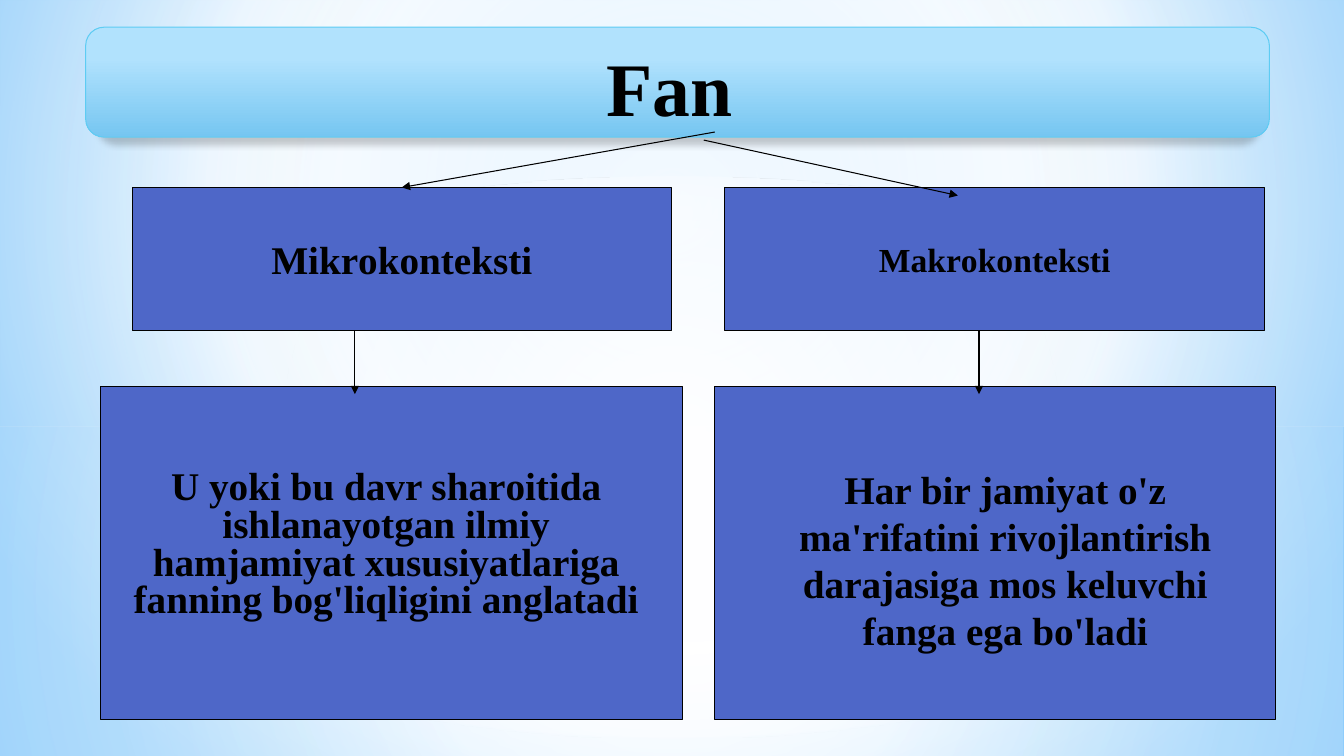
"""Build a slide that splits the notion of science into its micro and macro contexts."""
from lxml import etree
from pptx import Presentation
from pptx.dml.color import RGBColor
from pptx.enum.shapes import MSO_CONNECTOR, MSO_SHAPE
from pptx.enum.text import MSO_ANCHOR, PP_ALIGN
from pptx.oxml.ns import qn
from pptx.util import Inches, Pt

RECTANGLE, ROUNDED, OVAL = MSO_SHAPE.RECTANGLE, MSO_SHAPE.ROUNDED_RECTANGLE, MSO_SHAPE.OVAL
STRAIGHT = MSO_CONNECTOR.STRAIGHT
TOP, MIDDLE = MSO_ANCHOR.TOP, MSO_ANCHOR.MIDDLE
CENTER = PP_ALIGN.CENTER

BLACK = RGBColor(0x00, 0x00, 0x00)
WHITE = RGBColor(0xFF, 0xFF, 0xFF)
INDIGO = RGBColor(0x4E, 0x67, 0xC8)
CYAN = RGBColor(0x5E, 0xCC, 0xF3)
PALE_BLUE = RGBColor(0xB4, 0xDC, 0xFA)
SKY = RGBColor(0x9E, 0xD5, 0xFF)
DEEP_SKY = RGBColor(0x5B, 0xB9, 0xFF)
BANNER_LIGHT = RGBColor(0xB1, 0xE2, 0xFD)
BANNER_DARK = RGBColor(0x76, 0xC6, 0xF1)

FONT = "Times New Roman"
LINE_WIDTH = Pt(0.75)
SLIDE_SIZE = (13.33, 7.5)
CENTRE = (50, 50, 50, 50)

BACKGROUND_STOPS = [(0, SKY, 100), (60, WHITE, 100), (100, DEEP_SKY, 100)]
BACKGROUND_FOCUS = (20, 10, 20, 60)
BACKDROP = [
    (RECTANGLE, (0, 4.23, 13.33, 3.27), CENTRE,
     [(0, WHITE, 91), (37, WHITE, 76), (100, PALE_BLUE, 79)]),
    (RECTANGLE, (0, 0, 13.33, 4.23), CENTRE,
     [(0, WHITE, 89), (48, WHITE, 62), (100, PALE_BLUE, 79)]),
    (RECTANGLE, (0, 2.9, 13.33, 2.5), None,
     [(0, WHITE, 0), (29, WHITE, 30), (45, PALE_BLUE, 40),
      (55, WHITE, 26), (65, PALE_BLUE, 60), (100, WHITE, 0)]),
    (OVAL, (0, 1.75, 13.33, 5.58), CENTRE, [(0, WHITE, 100), (54, WHITE, 0)]),
]

BANNER_AREA = (0.85, 0.27, 11.74, 1.09)
BANNER_STOPS = [(28, BANNER_LIGHT, 100), (100, BANNER_DARK, 100)]
TITLE, TITLE_AREA = "Fаn", (5.91, 0.36, 1.46, 1.01)

HEADING_TOP, HEADING_SIZE = 1.86, (5.35, 1.42)
PANEL_TOP, PANEL_HEIGHT = 3.83, 3.31
ARROW_OVERLAP = 0.08
CONTEXTS = [
    {"heading": "Mikrоkоntеksti", "heading_left": 1.31, "heading_size": 28,
     "panel_left": 1, "panel_width": 5.77,
     "text": "U yoki bu dаvr shаrоitidа ishlаnаyotgаn ilmiy hаmjаmiyat "
             "хususiyatlаrigа fаnning bоg'liqligini аnglаtаdi",
     "text_area": (1.1, 3.99, 5.46, 3.51),
     "text_format": {"anchor": TOP, "line_spacing": 0.8, "margin_top": 0.68},
     "branch": ((7.09, 1.31), (3.98, 1.86)), "joined": True, "arrow_x": 3.52},
    {"heading": "Makrоkоntеksti", "heading_left": 7.19, "heading_size": 24,
     "panel_left": 7.09, "panel_width": 5.56,
     "text": "Hаr bir jаmiyat o'z mа'rifаtini rivоjlаntirish dаrаjаsigа "
             "mоs kеluvchi fаngа egа bo'lаdi",
     "text_area": (7.61, 3.91, 4.72, 3.28),
     "text_format": {"anchor": MIDDLE},
     "branch": ((6.98, 1.39), (9.5, 1.94)), "joined": False, "arrow_x": 9.71},
]


def add_child(parent, tag, **attributes):
    """Append a drawing element with the given attributes."""
    child = etree.SubElement(parent, qn(tag))
    for name, value in attributes.items():
        child.set(name, str(value))
    return child


def apply_gradient(properties, stops, focus=None):
    """Swap the solid fill for a radial gradient, or a vertical one without focus."""
    solid = properties.find(qn("a:solidFill"))
    gradient = etree.Element(qn("a:gradFill"), rotWithShape="1")
    stop_list = add_child(gradient, "a:gsLst")
    for position, color, opacity in stops:
        stop = add_child(stop_list, "a:gs", pos=position * 1000)
        tone = add_child(stop, "a:srgbClr", val=color)
        if opacity < 100:
            add_child(tone, "a:alpha", val=opacity * 1000)
    if focus:
        radial = add_child(gradient, "a:path", path="circle")
        sides = {side: share * 1000 for side, share in zip("ltrb", focus)}
        add_child(radial, "a:fillToRect", **sides)
    else:
        add_child(gradient, "a:lin", ang=5400000, scaled=0)
    properties.replace(solid, gradient)


def add_box(slide, kind, area, fill, line=None):
    """Add a flat preset shape."""
    shape = slide.shapes.add_shape(kind, *map(Inches, area))
    shape.shadow.inherit = False
    shape.fill.solid()
    shape.fill.fore_color.rgb = fill
    if line is None:
        shape.line.fill.background()
    else:
        shape.line.color.rgb = line
        shape.line.width = LINE_WIDTH
    return shape


def write_text(shape, text, size=28, anchor=MIDDLE, wrap=True, line_spacing=None, margin_top=0.05):
    """Write one bold centred paragraph in a shape."""
    frame = shape.text_frame
    frame.word_wrap = wrap
    frame.vertical_anchor = anchor
    frame.margin_top = Inches(margin_top)
    paragraph = frame.paragraphs[0]
    paragraph.alignment = CENTER
    if line_spacing:
        paragraph.line_spacing = line_spacing
    run = paragraph.add_run()
    run.text = text
    run.font.name = FONT
    run.font.size = Pt(size)
    run.font.bold = True
    run.font.color.rgb = BLACK


def add_arrow(slide, start, end):
    """Add a thin black arrow between two points."""
    arrow = slide.shapes.add_connector(STRAIGHT, *map(Inches, start + end))
    arrow.line.color.rgb = BLACK
    arrow.line.width = LINE_WIDTH
    properties = arrow.element.spPr
    add_child(properties.find(qn("a:ln")), "a:tailEnd", type="triangle")
    add_child(properties, "a:effectLst")
    return arrow


def add_banner(slide):
    """Add the title banner with its soft shadow."""
    banner = add_box(slide, ROUNDED, BANNER_AREA, BANNER_LIGHT, CYAN)
    properties = banner.element.spPr
    apply_gradient(properties, BANNER_STOPS)
    shadow = add_child(properties.find(qn("a:effectLst")), "a:outerShdw",
                       blurRad=Pt(5), dist=Pt(4), dir=5400000,
                       sx=98000, sy=98000, rotWithShape=0)
    add_child(add_child(shadow, "a:srgbClr", val=BLACK), "a:alpha", val=20000)
    title = slide.shapes.add_textbox(*map(Inches, TITLE_AREA))
    write_text(title, TITLE, size=54, anchor=TOP, wrap=False)


def add_context(slide, context):
    """Add one column: heading, panel, description and arrows."""
    heading = add_box(slide, RECTANGLE, (context["heading_left"], HEADING_TOP, *HEADING_SIZE),
                      INDIGO, BLACK)
    write_text(heading, context["heading"], size=context["heading_size"], wrap=False)
    add_box(slide, RECTANGLE,
            (context["panel_left"], PANEL_TOP, context["panel_width"], PANEL_HEIGHT),
            INDIGO, BLACK)
    description = slide.shapes.add_textbox(*map(Inches, context["text_area"]))
    write_text(description, context["text"], **context["text_format"])
    branch = add_arrow(slide, *context["branch"])
    if context["joined"]:
        branch.end_connect(heading, 0)
    arrow_x = context["arrow_x"]
    add_arrow(slide, (arrow_x, HEADING_TOP + HEADING_SIZE[1]),
              (arrow_x, PANEL_TOP + ARROW_OVERLAP))


def main():
    """Assemble and save the slide."""
    presentation = Presentation()
    presentation.slide_width, presentation.slide_height = map(Inches, SLIDE_SIZE)
    slide = presentation.slides.add_slide(presentation.slide_layouts[6])
    slide.background.fill.solid()
    slide.background.fill.fore_color.rgb = WHITE
    background = next(slide.element.iter(qn("p:bgPr")))
    apply_gradient(background, BACKGROUND_STOPS, BACKGROUND_FOCUS)
    for kind, area, focus, stops in BACKDROP:
        layer = add_box(slide, kind, area, WHITE)
        apply_gradient(layer.element.spPr, stops, focus)
    add_banner(slide)
    for context in CONTEXTS:
        add_context(slide, context)
    presentation.save("out.pptx")


if __name__ == "__main__":
    main()
